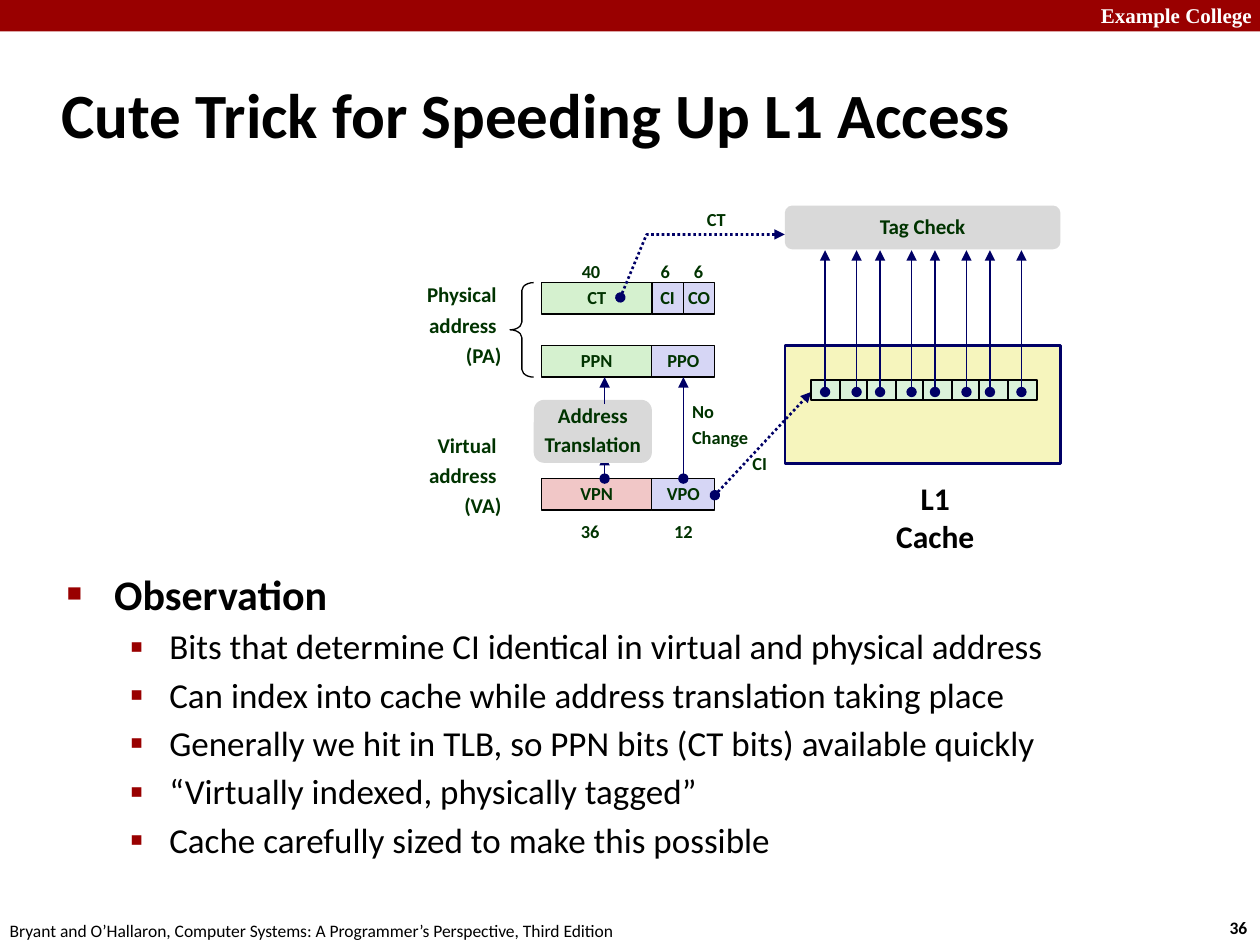
from dataclasses import dataclass
from typing import Optional

from lxml import etree
from pptx import Presentation
from pptx import util as u
from pptx.dml.color import RGBColor
from pptx.enum import dml, shapes, text
from pptx.oxml.ns import qn

LEFT, CENTER, RIGHT = text.PP_ALIGN.LEFT, text.PP_ALIGN.CENTER, text.PP_ALIGN.RIGHT


@dataclass(frozen=True)
class Theme:
    font: str = "Calibri"
    header_font: str = "Times New Roman"
    black: str = "000000"
    white: str = "FFFFFF"
    red: str = "990000"
    navy: str = "000066"
    label: str = "003300"
    green: str = "D5F1CF"
    lilac: str = "D6D6F5"
    pink: str = "F1C7C7"
    gray: str = "D9D9D9"
    yellow: str = "F6F5BD"
    mint: str = "DBF2DA"
    title_size: float = 36
    heading_size: float = 24
    item_size: float = 20
    cache_size: float = 18
    big_size: float = 12
    small_size: float = 10.5
    footer_size: float = 10


THEME = Theme()


@dataclass(frozen=True)
class Style:
    size: float = THEME.small_size
    color: str = THEME.label
    bold: bool = True
    font: str = THEME.font
    align: int = LEFT
    wrap: bool = False
    inset: tuple = (5, 3)
    spacing: Optional[float] = 0.88
    before: float = 3.9


SMALL = Style()
FIELD = Style(align=CENTER)
BLOCK = Style(size=THEME.big_size, align=CENTER)
SIDE = Style(size=THEME.big_size, align=RIGHT, wrap=True, before=4.5)
PLAIN = Style(size=THEME.footer_size, color=THEME.black, bold=False,
              inset=(7.2, 3.6), spacing=None, before=0)
NUMBER = Style(size=THEME.footer_size, color=THEME.black,
               inset=(7.2, 3.6), spacing=None, before=0)
HEADER = Style(size=THEME.big_size, color=THEME.white, font=THEME.header_font,
               wrap=True, inset=(7.2, 3.6), spacing=None, before=0)
CACHE = Style(size=THEME.cache_size, color=THEME.black, align=CENTER,
              wrap=True, inset=(7.2, 3.6), spacing=None, before=0)


@dataclass(frozen=True)
class Label:
    words: str
    left: float
    top: float
    width: float
    height: float
    style: Style = SMALL


@dataclass(frozen=True)
class Field:
    words: str
    left: float
    top: float
    width: float
    color: str


def set_font(paragraph, style: Style) -> None:
    font = paragraph.font
    font.name, font.size, font.bold = style.font, u.Pt(style.size), style.bold
    font.color.rgb = RGBColor.from_string(style.color)


def write_text(frame, words: str, style: Style) -> None:
    frame.word_wrap = style.wrap
    frame.margin_left = frame.margin_right = u.Pt(style.inset[0])
    frame.margin_top = frame.margin_bottom = u.Pt(style.inset[1])
    frame.text = words
    for paragraph in frame.paragraphs:
        set_font(paragraph, style)
        paragraph.alignment = style.align
        paragraph.space_before = u.Pt(style.before)
        if style.spacing:
            paragraph.line_spacing = style.spacing


def add_label(slide, label: Label) -> None:
    box = slide.shapes.add_textbox(*map(u.Pt, (label.left, label.top, label.width, label.height)))
    write_text(box.text_frame, label.words, label.style)


def add_box(slide, kind, left: float, top: float, width: float, height: float,
            fill: Optional[str] = None, line: Optional[str] = None,
            weight: float = 0.75, words: str = "", style: Style = FIELD):
    shape = slide.shapes.add_shape(kind, *map(u.Pt, (left, top, width, height)))
    shape.shadow.inherit = False
    if fill:
        shape.fill.solid()
        shape.fill.fore_color.rgb = RGBColor.from_string(fill)
    else:
        shape.fill.background()
    if line:
        shape.line.color.rgb = RGBColor.from_string(line)
        shape.line.width = u.Pt(weight)
    else:
        shape.line.fill.background()
    if words:
        shape.text_frame.vertical_anchor = text.MSO_ANCHOR.MIDDLE
        write_text(shape.text_frame, words, style)
    return shape


def style_arrow(shape, dotted: bool, dot: bool = True) -> None:
    shape.line.color.rgb = RGBColor.from_string(THEME.navy)
    shape.line.width = u.Pt(1.5 if dotted else 0.75)
    if dotted:
        shape.line.dash_style = dml.MSO_LINE.ROUND_DOT
    properties = shape._element.spPr
    line = properties.find(qn("a:ln"))
    if dot:
        etree.SubElement(line, qn("a:headEnd"), type="oval")
    etree.SubElement(line, qn("a:tailEnd"), type="triangle")
    if properties.find(qn("a:effectLst")) is None:
        etree.SubElement(properties, qn("a:effectLst"))


def add_arrow(slide, start: tuple, end: tuple, dotted: bool = False, dot: bool = True) -> None:
    connector = slide.shapes.add_connector(shapes.MSO_CONNECTOR.STRAIGHT, *map(u.Pt, start + end))
    style_arrow(connector, dotted, dot)


def add_bullet(paragraph, mark: str, percent: int, margin: float, indent: float) -> None:
    properties = paragraph._p.get_or_add_pPr()
    properties.set("marL", str(u.Pt(margin)))
    properties.set("indent", str(u.Pt(-indent)))
    color = etree.SubElement(properties, qn("a:buClr"))
    etree.SubElement(color, qn("a:srgbClr"), val=THEME.red)
    etree.SubElement(properties, qn("a:buSzPct"), val=str(percent * 1000))
    etree.SubElement(properties, qn("a:buChar"), char=mark)


def place(shape, left: float, top: float, width: float, height: float) -> None:
    shape.left, shape.top, shape.width, shape.height = map(u.Pt, (left, top, width, height))


def add_placeholders(slide) -> None:
    title, body = slide.shapes.title, slide.placeholders[1]
    place(title, 28, 34.5, 598, 60)
    title.text_frame.text = "Cute Trick for Speeding Up L1 Access"
    title.text_frame.vertical_anchor = text.MSO_ANCHOR.MIDDLE
    title.text_frame.auto_size = text.MSO_AUTO_SIZE.NONE
    paragraph = title.text_frame.paragraphs[0]
    paragraph.alignment = LEFT
    set_font(paragraph, Style(size=THEME.title_size, color=THEME.black))

    place(body, 31, 321, 622, 177)
    body.text_frame.auto_size = text.MSO_AUTO_SIZE.NONE
    body.text_frame.text = "\n".join((
        "Observation",
        "Bits that determine CI identical in virtual and physical address",
        "Can index into cache while address translation taking place",
        "Generally we hit in TLB, so PPN bits (CT bits) available quickly",
        "“Virtually indexed, physically tagged”",
        "Cache carefully sized to make this possible"))
    for index, paragraph in enumerate(body.text_frame.paragraphs):
        heading = index == 0
        paragraph.level = 0 if heading else 1
        size = THEME.heading_size if heading else THEME.item_size
        set_font(paragraph, Style(size=size, color=THEME.black, bold=heading))
        paragraph.space_before = u.Pt(4.8 if heading else 3.6)
        add_bullet(paragraph, *(("■", 60, 27, 27) if heading else ("▪", 110, 58.5, 22.5)))


def add_address_fields(slide) -> None:
    left, split, middle = 309.5, 372.5, 390.5
    physical, page, virtual = 161.5, 197.5, 273.5
    for field in (Field("CT", left, physical, 63, THEME.green),
                  Field("CI", split, physical, 18, THEME.lilac),
                  Field("CO", middle, physical, 18, THEME.lilac),
                  Field("PPN", left, page, 63, THEME.green),
                  Field("PPO", split, page, 36, THEME.lilac),
                  Field("VPN", left, virtual, 63, THEME.pink),
                  Field("VPO", split, virtual, 36, THEME.lilac)):
        add_box(slide, shapes.MSO_SHAPE.RECTANGLE, field.left, field.top, field.width, 18,
                field.color, THEME.black, words=field.words)
    brace = add_box(slide, shapes.MSO_SHAPE.LEFT_BRACE, 291.5, physical, 13.5, 54, line=THEME.black)
    brace.adjustments[0] = 0.33

    # Translation path and unchanged page offset
    add_arrow(slide, (345.5, virtual), (345.5, 260))
    add_box(slide, shapes.MSO_SHAPE.ROUNDED_RECTANGLE, 305, 228.5, 67.5, 36, THEME.gray,
            words="Address\nTranslation", style=BLOCK)
    add_arrow(slide, (345.5, 231), (345.5, 215.5), dot=False)
    add_arrow(slide, (middle, virtual), (middle, 215.5))


def add_cache(slide) -> None:
    left, width = 448.5, 157.5
    add_box(slide, shapes.MSO_SHAPE.RECTANGLE, left, 197.5, width, 67.5,
            THEME.yellow, THEME.navy, 1.5)
    # Dotted index and tag paths
    add_arrow(slide, (408.5, 283), (463.5, 224), dotted=True)
    builder = slide.shapes.build_freeform(u.Pt(354.5), u.Pt(170), scale=1.0)
    builder.add_line_segments([(u.Pt(369.5), u.Pt(134)), (u.Pt(left), u.Pt(134))], close=False)
    tag_path = builder.convert_to_shape()
    tag_path.fill.background()
    tag_path.shadow.inherit = False
    style_arrow(tag_path, dotted=True)

    # Eight lines of the set, in pairs, each sent to the tag check
    ways = [divmod(way, 2) for way in range(8)]
    for pair, member in ways:
        add_box(slide, shapes.MSO_SHAPE.RECTANGLE, 463.5 + 32 * pair + 16.5 * member, 217,
                16.5, 11.5, THEME.mint, THEME.black, 1)
    for pair, member in ways:
        center = 471.5 + 31.4 * pair + 18 * member
        add_arrow(slide, (center, 224), (center, 143))
    add_box(slide, shapes.MSO_SHAPE.ROUNDED_RECTANGLE, left, 117.5, width, 25, THEME.gray,
            words="Tag Check", style=BLOCK)


def add_labels(slide) -> None:
    for label in (Label("Example College", 622, -2, 103, 22, HEADER),
                  Label("36", 695.5, 520.5, 26.5, 19.5, NUMBER),
                  Label("Bryant and O’Hallaron, Computer Systems: A Programmer’s Perspective, "
                        "Third Edition", -1.5, 522, 366, 19.5, PLAIN),
                  Label("Physical \naddress \n(PA)", 144, 160, 147.5, 54, SIDE),
                  Label("Virtual \naddress \n(VA)", 228, 246, 63.5, 54, SIDE),
                  Label("40", 327.5, 147.5, 21.5, 16.5),
                  Label("6", 372.5, 147.5, 16.5, 16.5),
                  Label("6", 391.5, 147.5, 16.5, 16.5),
                  Label("36", 327, 296, 21.5, 16.5),
                  Label("12", 372.5, 296, 36, 16.5, FIELD),
                  Label("No\nChange", 390.5, 227, 43, 31.5),
                  Label("CI", 425, 257, 19.5, 16.5),
                  Label("CT", 399, 117.5, 21.5, 16.5),
                  Label("L1 Cache", 498.5, 270, 72, 51, CACHE)):
        add_label(slide, label)


def main() -> None:
    presentation = Presentation()
    presentation.slide_width, presentation.slide_height = u.Pt(720), u.Pt(540)
    slide = presentation.slides.add_slide(presentation.slide_layouts[1])
    add_placeholders(slide)
    add_box(slide, shapes.MSO_SHAPE.RECTANGLE, 0, 0, 720, 18, THEME.red)
    add_address_fields(slide)
    add_cache(slide)
    add_labels(slide)
    presentation.save("out.pptx")


if __name__ == "__main__":
    main()
